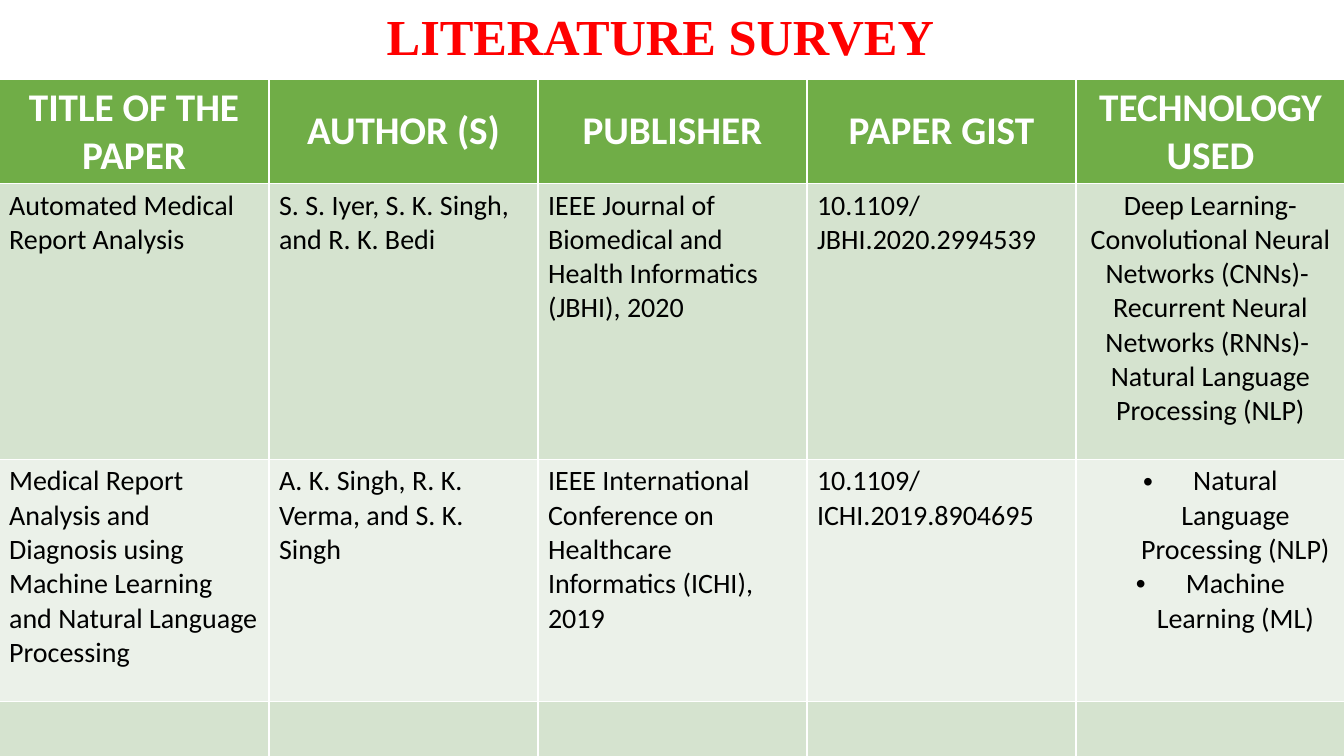
from dataclasses import dataclass

from lxml import etree
from pptx import Presentation
from pptx.dml.color import RGBColor
from pptx.enum.text import MSO_ANCHOR, MSO_AUTO_SIZE, PP_ALIGN
from pptx.oxml.ns import qn
from pptx.util import Pt

CENTER, LEFT = PP_ALIGN.CENTER, PP_ALIGN.LEFT
TOP, MIDDLE = MSO_ANCHOR.TOP, MSO_ANCHOR.MIDDLE
FIT_SHAPE = MSO_AUTO_SIZE.SHAPE_TO_FIT_TEXT
EMU_PER_PX = 914400 / 100.8


@dataclass(frozen=True)
class Theme:
    title_font: str = "Times New Roman"
    body_font: str = "Calibri"
    title_size: int = 36
    header_size: int = 28
    body_size: int = 20
    title: str = "FF0000"
    header_text: str = "FFFFFF"
    body_text: str = "000000"
    header_fill: str = "70AD47"
    band_fills: tuple = ("EBF1E9", "D5E3CF")


THEME = Theme()
HEADERS = ["TITLE OF THE PAPER", "AUTHOR (S)", "PUBLISHER", "PAPER GIST", "TECHNOLOGY USED"]
PAPERS = [
    ["Automated Medical Report Analysis",
     "S. S. Iyer, S. K. Singh, and R. K. Bedi",
     "IEEE Journal of Biomedical and Health Informatics (JBHI), 2020",
     "10.1109/JBHI.2020.2994539",
     " Deep Learning- \nConvolutional Neural Networks (CNNs)- \n"
     "Recurrent Neural Networks (RNNs)- \nNatural Language Processing (NLP)"],
    ["Medical Report Analysis and Diagnosis using Machine Learning "
     "and Natural Language Processing",
     "A. K. Singh, R. K. Verma, and S. K. Singh",
     "IEEE International Conference on Healthcare Informatics (ICHI), 2019",
     "10.1109/ICHI.2019.8904695",
     "Natural Language Processing (NLP)\nMachine Learning (ML)"],
]
EMPTY_ROWS = 3
ROWS = [HEADERS, *PAPERS, *[[""] * len(HEADERS)] * EMPTY_ROWS]
ROW_HEIGHTS = [103, 276, 242, *[112] * EMPTY_ROWS]
COLUMN_WIDTHS = [270, 269, 269, 269, 269]
TECHNOLOGY_COLUMN = 4
BULLETED_CELL = (2, TECHNOLOGY_COLUMN)
BULLET_INDENT = 50


def px(length):
    return round(length * EMU_PER_PX)


def format_text(text_frame, font_name, size, color, bold, alignment):
    for paragraph in text_frame.paragraphs:
        paragraph.alignment = alignment
        for run in paragraph.runs:
            run.font.name = font_name
            run.font.size = Pt(size)
            run.font.bold = bold
            run.font.color.rgb = RGBColor.from_string(color)


presentation = Presentation()
presentation.slide_width, presentation.slide_height = px(1344), px(756)
slide = presentation.slides.add_slide(presentation.slide_layouts.get_by_name("Title Only"))

title = slide.shapes.title
title.left, title.top, title.width, title.height = px(374), px(0), px(573), px(71)
title.text_frame.text = "LITERATURE SURVEY"
title.text_frame.word_wrap = False
title.text_frame.auto_size = FIT_SHAPE
title.text_frame.vertical_anchor = TOP
format_text(title.text_frame, THEME.title_font, THEME.title_size, THEME.title, True, CENTER)

# The default table style draws the white cell borders.
table = slide.shapes.add_table(
    len(ROWS), len(HEADERS), px(-1), px(79),
    px(sum(COLUMN_WIDTHS)), px(sum(ROW_HEIGHTS))).table
for column, width in zip(table.columns, COLUMN_WIDTHS):
    column.width = px(width)

for row_index, texts in enumerate(ROWS):
    table.rows[row_index].height = px(ROW_HEIGHTS[row_index])
    is_header = row_index == 0
    fill = THEME.header_fill if is_header else THEME.band_fills[row_index % 2]
    size = THEME.header_size if is_header else THEME.body_size
    color = THEME.header_text if is_header else THEME.body_text

    for column_index, text in enumerate(texts):
        cell = table.cell(row_index, column_index)
        cell.text_frame.text = text
        cell.vertical_anchor = MIDDLE if is_header else TOP
        centered = is_header or column_index == TECHNOLOGY_COLUMN
        format_text(cell.text_frame, THEME.body_font, size, color, is_header,
                    CENTER if centered else LEFT)
        cell.fill.solid()
        cell.fill.fore_color.rgb = RGBColor.from_string(fill)

for paragraph in table.cell(*BULLETED_CELL).text_frame.paragraphs:
    paragraph_properties = paragraph._p.get_or_add_pPr()
    paragraph_properties.set("marL", str(px(BULLET_INDENT)))
    paragraph_properties.set("indent", str(px(-BULLET_INDENT)))
    etree.SubElement(paragraph_properties, qn("a:buFont"), typeface="Arial")
    etree.SubElement(paragraph_properties, qn("a:buChar"), char="•")

presentation.save("out.pptx")
